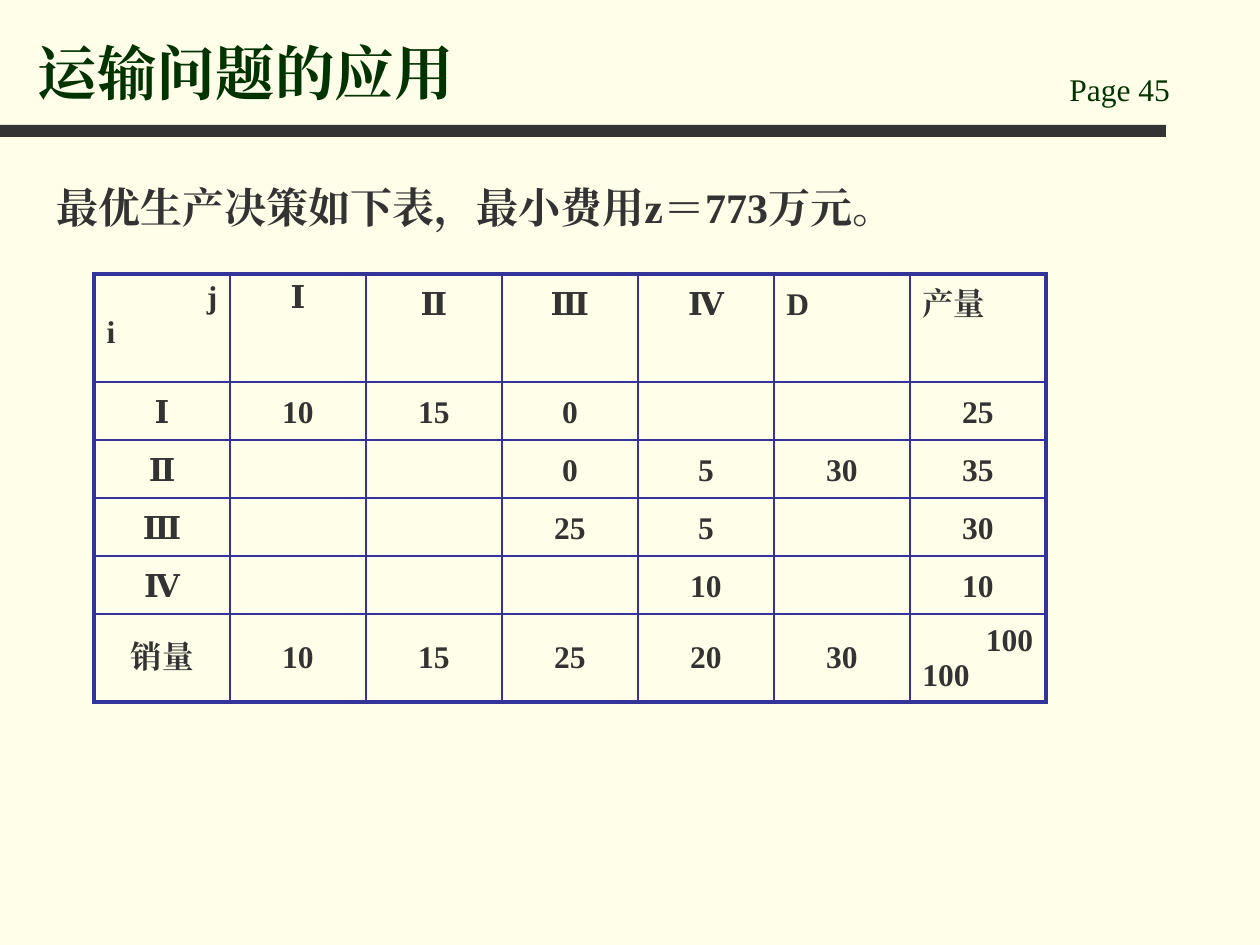
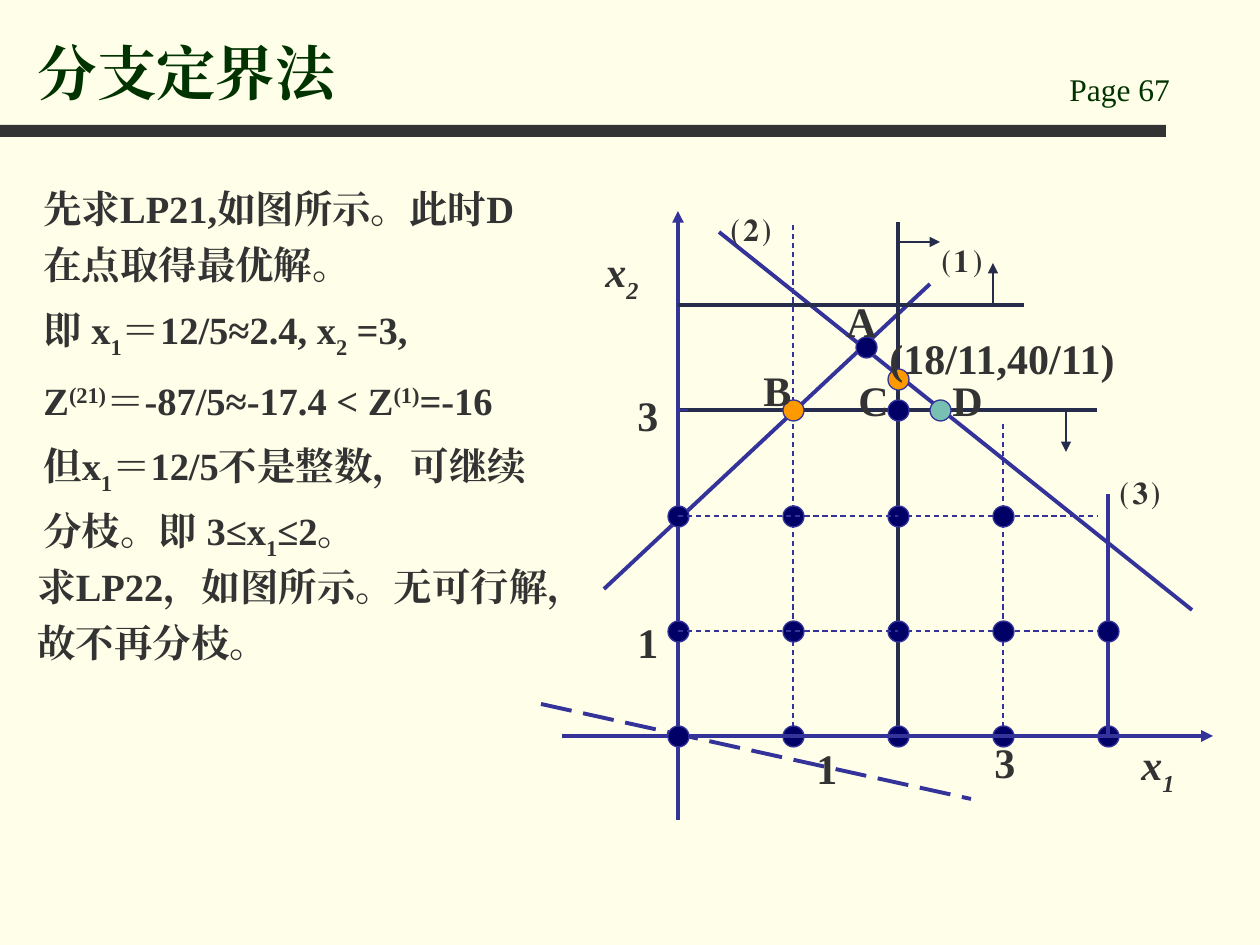
from dataclasses import dataclass
from itertools import product
from typing import Any

from lxml.etree import SubElement
from pptx import Presentation
from pptx.dml.color import RGBColor
from pptx.enum.dml import MSO_LINE
from pptx.enum.lang import MSO_LANGUAGE_ID
from pptx.enum.shapes import MSO_CONNECTOR, MSO_SHAPE
from pptx.enum.text import MSO_ANCHOR, MSO_AUTO_SIZE, PP_ALIGN
from pptx.oxml import parse_xml
from pptx.oxml.ns import nsdecls, qn
from pptx.slide import Slide
from pptx.table import _Cell
from pptx.text.text import TextFrame, _Paragraph
from pptx.util import Emu, Pt

PX_PER_INCH = 126

CREAM = RGBColor(0xFF, 0xFF, 0xE9)
CHARCOAL = RGBColor(0x33, 0x33, 0x33)
GREEN = RGBColor(0x00, 0x33, 0x00)
INDIGO = RGBColor(0x33, 0x33, 0x99)
SLATE = RGBColor(0x26, 0x2D, 0x4C)
NAVY = RGBColor(0x00, 0x00, 0x66)
ORANGE = RGBColor(0xFF, 0x99, 0x00)
TEAL = RGBColor(0x78, 0xC0, 0xB2)

THIN, THICK = 0.75, 2.25
SCRIPT_BASELINES = {"_": "-30000", "^": "30000"}

# Grid lines of the feasible region, at x1 and x2 = 0, 1, 2, 3, 4
X1 = [678, 793, 898, 1003, 1108]
X2 = [736, 631, 516, 410, 305]


def px(length: int) -> Emu:
    return Emu(round(length * 914400 / PX_PER_INCH))


@dataclass(frozen=True)
class TextStyle:
    size: int
    color: RGBColor = CHARCOAL
    bold: bool = True
    italic: bool = False
    line_spacing: float = 1.0
    space_between: float = 0


@dataclass(frozen=True)
class Segment:
    start: tuple[int, int]
    end: tuple[int, int]
    color: RGBColor = INDIGO
    width: float = THICK
    dash: Any = None
    arrow: bool = False


@dataclass(frozen=True)
class Dot:
    x: int
    y: int
    color: RGBColor = NAVY


@dataclass(frozen=True)
class Label:
    text: str
    left: int
    top: int
    width: int
    italic: bool = False


TITLE = TextStyle(34, GREEN)
PAGE = TextStyle(18, GREEN, bold=False)
STATEMENT = TextStyle(24, line_spacing=1.2)
SOLUTION = TextStyle(22, line_spacing=1.2, space_between=4.4)
CELL = TextStyle(18, line_spacing=1.2)
CELL_TIGHT = TextStyle(18)


def write_paragraph(paragraph: _Paragraph, text: str, style: TextStyle, align: PP_ALIGN) -> None:
    """Write text whose |-separated parts are subscripts (_) or superscripts (^)."""
    paragraph.alignment = align
    paragraph.line_spacing = style.line_spacing
    font_format = {
        "name": "Times New Roman",
        "size": Pt(style.size),
        "bold": style.bold,
        "italic": style.italic,
        "language_id": MSO_LANGUAGE_ID.SIMPLIFIED_CHINESE,
    }
    for part in text.split("|"):
        run = paragraph.add_run()
        baseline = SCRIPT_BASELINES.get(part[:1])
        run.text = part[1:] if baseline else part
        for key, value in font_format.items():
            setattr(run.font, key, value)
        run.font.color.rgb = style.color
        properties = run.font._element
        SubElement(properties, qn("a:ea"), typeface="Times New Roman")
        if baseline:
            properties.set("baseline", baseline)


def write_frame(frame: TextFrame, lines: list[str], style: TextStyle,
                aligns: tuple[PP_ALIGN, ...] = (PP_ALIGN.LEFT,)) -> None:
    for index, line in enumerate(lines):
        paragraph = frame.add_paragraph() if index else frame.paragraphs[0]
        write_paragraph(paragraph, line, style, aligns[index % len(aligns)])
        if index and style.space_between:
            paragraph.space_before = Pt(style.space_between)


def add_text(slide: Slide, box: tuple[int, int, int, int], lines: list[str],
             style: TextStyle, wrap: bool = True) -> None:
    frame = slide.shapes.add_textbox(*map(px, box)).text_frame
    frame.word_wrap = wrap
    write_frame(frame, lines, style)


def add_segment(slide: Slide, segment: Segment) -> None:
    connector = slide.shapes.add_connector(
        MSO_CONNECTOR.STRAIGHT, *map(px, segment.start + segment.end))
    connector.line.color.rgb = segment.color
    connector.line.width = Pt(segment.width)
    if segment.dash:
        connector.line.dash_style = segment.dash
    if segment.arrow:
        SubElement(connector.line._get_or_add_ln(), qn("a:tailEnd"), type="triangle")
    SubElement(connector._element.spPr, qn("a:effectLst"))


def add_dot(slide: Slide, dot: Dot) -> None:
    radius = 10
    circle = slide.shapes.add_shape(
        MSO_SHAPE.OVAL, px(dot.x - radius), px(dot.y - radius), px(2 * radius + 1), px(2 * radius + 1))
    circle.shadow.inherit = False
    circle.fill.solid()
    circle.fill.fore_color.rgb = dot.color
    circle.line.color.rgb = INDIGO
    circle.line.width = Pt(THIN)


def add_page(prs: Any, title: str, number: int) -> Slide:
    """Add a slide with the shared band, page number and title."""
    slide = prs.slides.add_slide(prs.slide_layouts[5])
    band = slide.shapes.add_shape(MSO_SHAPE.RECTANGLE, px(0), px(125), px(1166), px(12))
    band.shadow.inherit = False
    band.fill.solid()
    band.fill.fore_color.rgb = CHARCOAL
    band.line.fill.background()
    add_text(slide, (1057, 64, 179, 50), [f"Page {number}"], PAGE)

    heading = slide.shapes.title
    heading.left, heading.top, heading.width, heading.height = map(px, (25, 16, 1012, 98))
    frame_format = {"vertical_anchor": MSO_ANCHOR.BOTTOM, "auto_size": MSO_AUTO_SIZE.NONE}
    for key, value in frame_format.items():
        setattr(heading.text_frame, key, value)
    write_frame(heading.text_frame, [title], TITLE)
    return slide


def set_borders(cell: _Cell, outer_sides: set[str]) -> None:
    properties = cell._tc.get_or_add_tcPr()
    for position, side in enumerate("LRTB"):
        width = Pt(THICK if side in outer_sides else 1)
        properties.insert(position, parse_xml(
            f'<a:ln{side} {nsdecls("a")} w="{width}"><a:solidFill>'
            f'<a:srgbClr val="{INDIGO}"/></a:solidFill></a:ln{side}>'))


def add_production_table(slide: Slide) -> None:
    rows = [
        ["j\ni", "Ⅰ", "Ⅱ", "Ⅲ", "Ⅳ", "D", "产量"],
        ["Ⅰ", "10", "15", "0", "", "", "25"],
        ["Ⅱ", "", "", "0", "5", "30", "35"],
        ["Ⅲ", "", "", "25", "5", "", "30"],
        ["Ⅳ", "", "", "", "10", "", "10"],
        ["销量", "10", "15", "25", "20", "30", "100\n100"],
    ]
    heights = [108, 58, 58, 58, 58, 88]
    column_width = 136
    last_row, last_column = len(rows) - 1, len(rows[0]) - 1
    table = slide.shapes.add_table(
        len(rows), len(rows[0]), px(94), px(274),
        px(column_width * len(rows[0])), px(sum(heights))).table
    table.first_row = table.horz_banding = False
    for column in table.columns:
        column.width = px(column_width)
    for row, height in zip(table.rows, heights):
        row.height = px(height)

    for r, c in product(range(len(rows)), range(len(rows[0]))):
        cell = table.cell(r, c)
        cell.fill.background()
        edges = {"L": c == 0, "R": c == last_column, "T": r == 0, "B": r == last_row}
        set_borders(cell, {side for side, is_outer in edges.items() if is_outer})
        lines = rows[r][c].split("\n")
        if len(lines) > 1:
            aligns = (PP_ALIGN.RIGHT, PP_ALIGN.LEFT)
        elif r == 0 and c >= last_column - 1:
            aligns = (PP_ALIGN.LEFT,)
        else:
            aligns = (PP_ALIGN.CENTER,)
        if r == last_row:
            cell.vertical_anchor = MSO_ANCHOR.MIDDLE
        tight = r == last_row or (r == 0 and c < 2)
        if rows[r][c]:
            write_frame(cell.text_frame, lines, CELL_TIGHT if tight else CELL, aligns)


def add_branch_graph(slide: Slide) -> None:
    origin_x, origin_y = X1[0], X2[0]
    dashed = {"width": THIN, "dash": MSO_LINE.DASH}
    bound = {"color": SLATE}
    bound_arrow = {"color": SLATE, "width": THIN, "arrow": True}

    ticks = [Segment((origin_x, y), (origin_x + 10, y), width=THIN) for y in X2[1:]]
    ticks += [Segment((x, origin_y), (x, origin_y - 10), width=THIN) for x in X1[1:]]
    back = [
        Segment((origin_x, X2[3]), (1097, X2[3]), **bound),
        Segment((origin_x, 820), (origin_x, 211), arrow=True),
        *ticks,
        Segment((1192, 610), (719, 232)),
        Segment((604, 589), (930, 284)),
        Segment((541, 704), (971, 799), dash=MSO_LINE.LONG_DASH),
        Segment((X1[2], X2[2]), (1097, X2[2]), **dashed),
        Segment((X1[2], X2[1]), (X1[4], X2[1]), **dashed),
        Segment((origin_x, X2[4]), (1024, X2[4]), **bound),
        Segment((X1[1], origin_y), (X1[1], 222), **dashed),
        Segment((X1[2], origin_y), (X1[2], 222), **bound),
        Segment((X1[3], origin_y), (X1[3], 421), **dashed),
    ]
    axis_dots = [Dot(x, origin_y) for x in X1[1:]]
    middle = [
        Segment((X1[4], origin_y), (X1[4], 494)),
        Segment((562, origin_y), (1213, origin_y), arrow=True),
    ]
    inner_dots = [Dot(x, X2[1]) for x in X1] + [Dot(x, X2[2]) for x in X1[:4]]
    corner_dots = [
        Dot(origin_x, origin_y), Dot(866, 347), Dot(X1[1], X2[3], ORANGE),
        Dot(X1[2], X2[3]), Dot(X1[2], 379, ORANGE), Dot(940, X2[3], TEAL),
    ]
    front = [
        Segment((origin_x, X2[2]), (X1[2], X2[2]), **dashed),
        Segment((origin_x, X2[1]), (X1[2], X2[1]), **dashed),
        Segment((993, X2[4]), (993, 263), **bound_arrow),
        Segment((1066, X2[3]), (1066, 452), **bound_arrow),
        Segment((X1[2], 242), (940, 242), **bound_arrow),
    ]
    for item in back + axis_dots + middle + inner_dots + corner_dots + front:
        if isinstance(item, Dot):
            add_dot(slide, item)
        else:
            add_segment(slide, item)

    labels = [
        Label("x|_1", 1129, 732, 60, italic=True), Label("x|_2", 593, 239, 60, italic=True),
        Label("⑴", 930, 224, 67), Label("⑵", 719, 193, 67), Label("⑶", 1108, 456, 67),
        Label("3", 625, 383, 47), Label("3", 982, 730, 47),
        Label("1", 804, 736, 47), Label("1", 625, 610, 47),
        Label("A", 834, 289, 55), Label("B", 751, 358, 53),
        Label("C", 846, 368, 55), Label("D", 940, 368, 55),
        Label("(18/11,40/11)", 877, 326, 255),
    ]
    for label in labels:
        add_text(slide, (label.left, label.top, label.width, 63), [label.text],
                 TextStyle(24, italic=label.italic), wrap=False)


def main() -> None:
    prs = Presentation()
    prs.slide_width, prs.slide_height = px(1260), px(945)
    background = prs.slide_master.background.fill
    background.solid()
    background.fore_color.rgb = CREAM

    transport = add_page(prs, "运输问题的应用", 45)
    add_production_table(transport)
    add_text(transport, (44, 165, 1042, 73),
             ["最优生产决策如下表，最小费用z＝773万元。"], STATEMENT)

    branching = add_page(prs, "分支定界法", 67)
    add_branch_graph(branching)
    add_text(branching, (31, 170, 539, 372), [
        "先求LP21,如图所示。此时D 在点取得最优解。",
        "即 x|_1|＝12/5≈2.4, x|_2| =3,",
        "Z|^(21)|＝-87/5≈-17.4 < Z|^(1)|=-16",
        "但x|_1|＝12/5不是整数，可继续分枝。即 3≤x|_1|≤2。",
    ], SOLUTION)
    add_text(branching, (25, 548, 557, 123),
             ["求LP22，如图所示。无可行解，故不再分枝。"], SOLUTION)
    prs.save("out.pptx")


if __name__ == "__main__":
    main()
